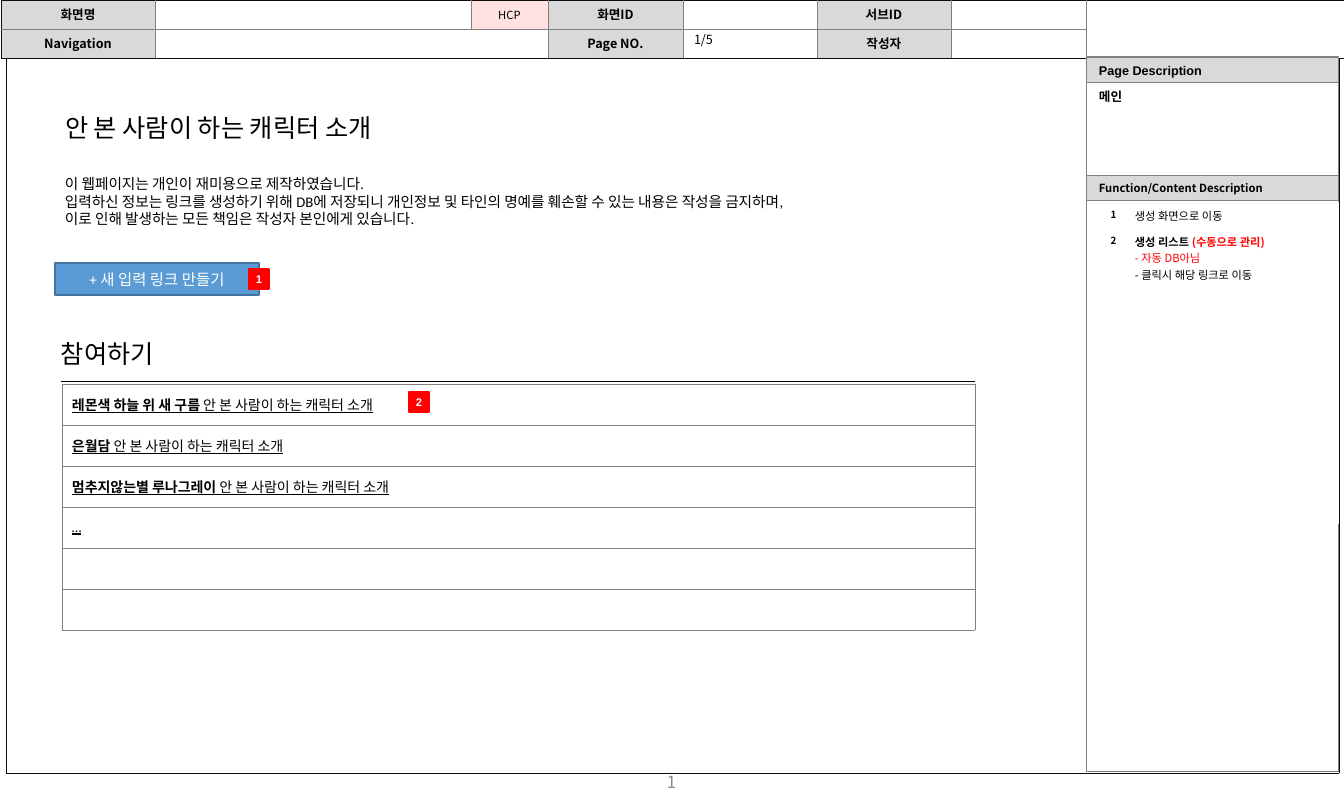
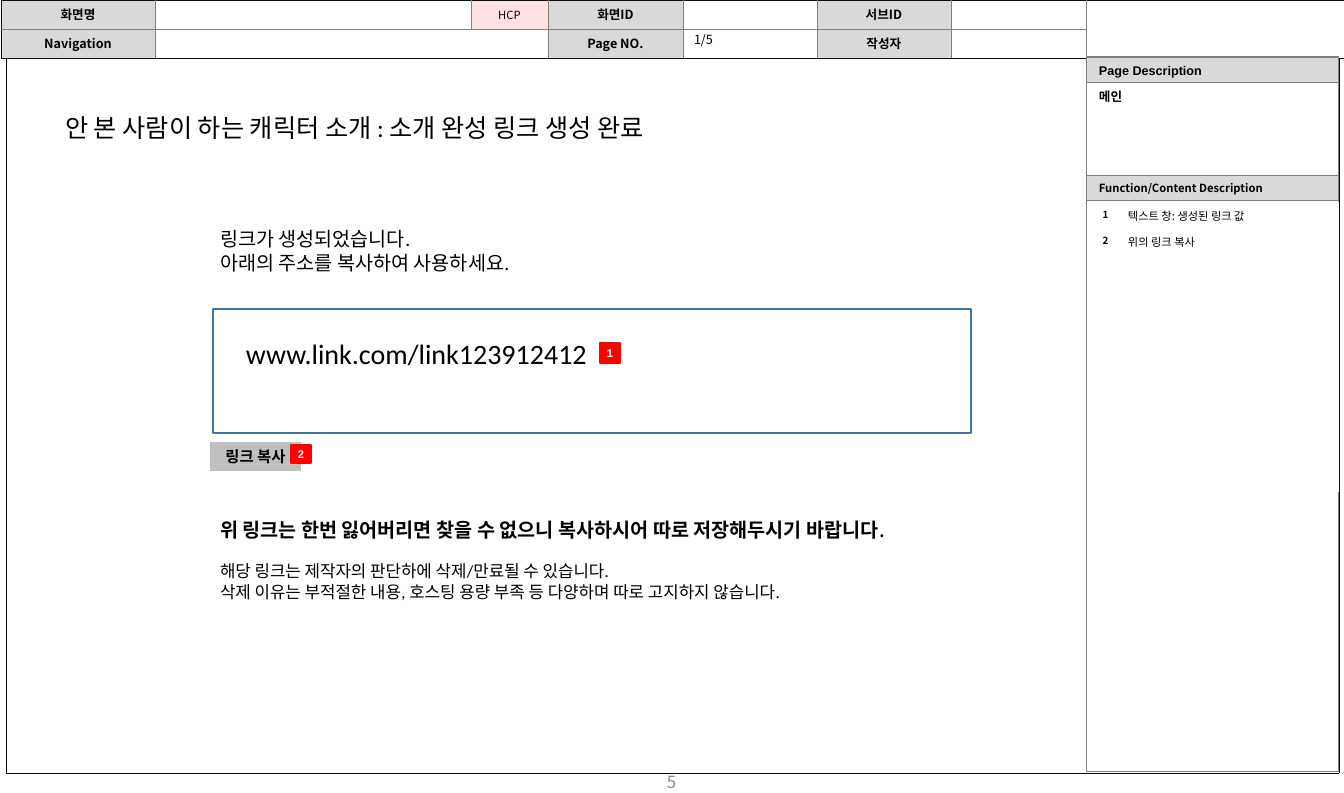
from dataclasses import dataclass, replace
from typing import Optional

from lxml import etree
from pptx import Presentation
from pptx.dml.color import RGBColor
from pptx.enum.shapes import MSO_CONNECTOR, MSO_SHAPE
from pptx.enum.text import MSO_ANCHOR, MSO_AUTO_SIZE, PP_ALIGN
from pptx.oxml.ns import qn
from pptx.util import Emu, Pt

RECTANGLE = MSO_SHAPE.RECTANGLE
STRAIGHT = MSO_CONNECTOR.STRAIGHT
TOP, MIDDLE = MSO_ANCHOR.TOP, MSO_ANCHOR.MIDDLE
LEFT, CENTER = PP_ALIGN.LEFT, PP_ALIGN.CENTER
NO_AUTOFIT = MSO_AUTO_SIZE.NONE

COLORS = {
    "black": "000000", "white": "FFFFFF", "ink": "0D0D0D", "gray": "808080",
    "number": "898989", "band": "D9D9D9", "pink": "FFE1E1", "red": "FF0000",
    "blue": "5B9BD5", "navy": "43739E", "silver": "BFBFBF",
}
BODY, KOREAN, LABEL = "Calibri", "Noto Sans CJK KR", "Arial"
EMU_PER_PIXEL = 914400 / 100.8
PAGE_WIDTH, PAGE_HEIGHT = 1344, 793
PANEL_LEFT, PANEL_TOP, PANEL_WIDTH, PANEL_HEIGHT = 1087, 57, 252, 715
PANEL_INSETS = (12, 6)
HAIRLINE = 0.25
HEADER_COLUMNS = (154, 316, 77, 135, 134, 134, 135, 258)
HEADER_ROW = 29
DESCRIPTION_ROWS, DESCRIPTION_HEIGHT = 11, 290
INTRODUCTION = "안 본 사람이 하는 캐릭터 소개"


@dataclass(frozen=True)
class Span:
    text: str
    size: float
    font: str = BODY
    color: str = "black"
    bold: bool = False
    underline: bool = False


Line = tuple[Span, ...]


@dataclass(frozen=True)
class Box:
    left: int
    top: int
    width: int
    height: int
    lines: tuple[Line, ...] = ()
    fill: Optional[str] = None
    border: Optional[str] = None
    border_width: float = 0.75
    anchor: MSO_ANCHOR = TOP
    align: PP_ALIGN = LEFT
    insets: tuple[int, int] = (10, 5)
    gap_before: tuple[int, ...] = ()


@dataclass(frozen=True)
class Edges:
    left: Optional[str] = None
    right: Optional[str] = None
    top: Optional[str] = None
    bottom: Optional[str] = None


def px(pixels: float) -> Emu:
    return Emu(round(pixels * EMU_PER_PIXEL))


def rgb(name: str) -> RGBColor:
    return RGBColor.from_string(COLORS[name])


def write_lines(frame, lines: tuple[Line, ...], align: PP_ALIGN) -> None:
    for index, line in enumerate(lines):
        para = frame.paragraphs[0] if index == 0 else frame.add_paragraph()
        para.alignment = align
        for span in line:
            run = para.add_run()
            run.text = span.text
            font = run.font
            font.size = Pt(span.size)
            font.bold = span.bold
            font.underline = span.underline
            font.color.rgb = rgb(span.color)
            font.name = span.font
            east_asian = etree.SubElement(run._r.get_or_add_rPr(), qn("a:ea"))
            east_asian.set("typeface", KOREAN)


def fill_frame(frame, box: Box) -> None:
    frame.auto_size = NO_AUTOFIT
    frame.word_wrap = True
    frame.vertical_anchor = box.anchor
    frame.margin_left = frame.margin_right = px(box.insets[0])
    frame.margin_top = frame.margin_bottom = px(box.insets[1])
    write_lines(frame, box.lines, box.align)
    for para, gap in zip(frame.paragraphs, box.gap_before):
        para.space_before = Pt(gap)


def add_box(page, box: Box) -> None:
    bounds = [px(side) for side in (box.left, box.top, box.width, box.height)]
    if box.fill is None and box.border is None:
        fill_frame(page.shapes.add_textbox(*bounds).text_frame, box)
        return
    shape = page.shapes.add_shape(RECTANGLE, *bounds)
    shape.shadow.inherit = False
    if box.fill:
        shape.fill.solid()
        shape.fill.fore_color.rgb = rgb(box.fill)
    else:
        shape.fill.background()
    if box.border:
        shape.line.color.rgb = rgb(box.border)
        shape.line.width = Pt(box.border_width)
    else:
        shape.line.fill.background()
    fill_frame(shape.text_frame, box)


def set_edges(cell, edges: Edges) -> None:
    properties = cell._tc.get_or_add_tcPr()
    sides = {"a:lnL": edges.left, "a:lnR": edges.right,
             "a:lnT": edges.top, "a:lnB": edges.bottom}
    for tag, color in sides.items():
        edge = etree.SubElement(properties, qn(tag))
        if color is None:
            etree.SubElement(edge, qn("a:noFill"))
            continue
        edge.set("w", str(Pt(HAIRLINE)))
        solid = etree.SubElement(edge, qn("a:solidFill"))
        etree.SubElement(solid, qn("a:srgbClr")).set("val", COLORS[color])


def add_table(page, left: int, top: int, columns: tuple[int, ...], rows: int, height: int):
    frame = page.shapes.add_table(rows, len(columns), px(left), px(top),
                                  px(sum(columns)), px(height))
    table = frame.table
    table.first_row = table.horz_banding = False
    for column, width in zip(table.columns, columns):
        column.width = px(width)
    for row in table.rows:
        row.height = px(height / rows)
    return table


def fill_cell(cell, edges: Edges, lines: tuple[Line, ...] = (), fill: str = "white",
              anchor: MSO_ANCHOR = MIDDLE, align: PP_ALIGN = LEFT, inset: int = 10) -> None:
    set_edges(cell, edges)
    cell.fill.solid()
    cell.fill.fore_color.rgb = rgb(fill)
    cell.vertical_anchor = anchor
    cell.margin_left = cell.margin_right = px(inset)
    cell.margin_top = cell.margin_bottom = px(5)
    if lines:
        write_lines(cell.text_frame, lines, align)
    else:
        ending = etree.SubElement(cell.text_frame.paragraphs[0]._p, qn("a:endParaRPr"))
        ending.set("sz", "800")


def add_header(page) -> None:
    labels = {
        (0, 0): "화면명", (0, 2): "HCP", (0, 3): "화면ID", (0, 5): "서브ID",
        (1, 0): "Navigation", (1, 3): "Page NO.", (1, 5): "작성자",
    }
    table = add_table(page, 1, 0, HEADER_COLUMNS, 2, 2 * HEADER_ROW)
    last = len(HEADER_COLUMNS) - 1
    table.cell(0, last).merge(table.cell(1, last))
    table.cell(1, 1).merge(table.cell(1, 2))
    for row in range(2):
        for column in range(last + 1):
            edges = Edges(left="gray" if column else "ink", right="gray",
                          top="gray" if row else "ink",
                          bottom="ink" if row or column == last else "gray")
            label = labels.get((row, column))
            if label is None:
                fill_cell(table.cell(row, column), edges, inset=0)
                continue
            tag = label == "HCP"
            span = Span(label, 8 if tag else 9, KOREAN, bold=not tag)
            fill_cell(table.cell(row, column), edges, ((span,),),
                      "pink" if tag else "band", align=CENTER, inset=0)


def add_frame(page, number: str) -> None:
    canvas = add_table(page, 6, PANEL_TOP + 1, (1333,), 1, PANEL_HEIGHT)
    fill_cell(canvas.cell(0, 0), Edges("ink", "ink", "ink", "ink"))
    panel = Box(PANEL_LEFT, PANEL_TOP, PANEL_WIDTH, PANEL_HEIGHT,
                border="gray", insets=PANEL_INSETS)
    add_box(page, panel)
    add_box(page, Box(515, 765, 313, 33, ((Span(number, 12, KOREAN, "number"),),),
                      anchor=MIDDLE, align=CENTER, insets=PANEL_INSETS))
    add_header(page)
    band = replace(panel, height=26, fill="band", anchor=MIDDLE,
                   lines=((Span("Page Description", 9, LABEL, bold=True),),))
    add_box(page, band)


def add_descriptions(page, left: int, number_width: int,
                     items: tuple[tuple[Line, ...], ...]) -> None:
    columns = (number_width, PANEL_LEFT + PANEL_WIDTH - left - number_width)
    table = add_table(page, left, 202, columns, DESCRIPTION_ROWS, DESCRIPTION_HEIGHT)
    for row in range(DESCRIPTION_ROWS):
        number: tuple[Line, ...] = ()
        item: tuple[Line, ...] = ()
        if row < len(items):
            number = ((Span(str(row + 1), 7, KOREAN, bold=True),),)
            item = items[row]
        fill_cell(table.cell(row, 0), Edges(), number, anchor=TOP, align=CENTER, inset=11)
        fill_cell(table.cell(row, 1), Edges(), item, anchor=TOP, inset=4)
    add_box(page, Box(684, 28, 134, 22, ((Span("1/5", 9, KOREAN),),), anchor=MIDDLE))
    summary = Box(PANEL_LEFT, 83, PANEL_WIDTH, 100, ((Span("메인", 9, KOREAN, bold=True),),),
                  "white", "gray", insets=PANEL_INSETS)
    add_box(page, summary)
    heading = Span("Function/Content Description", 8, KOREAN, bold=True)
    add_box(page, replace(summary, top=176, height=25, lines=((heading,),),
                          fill="band", anchor=MIDDLE))


def set_title(page, text: str, width: int) -> None:
    title = page.shapes.title
    title.left, title.top, title.width, title.height = px(55), px(107), px(width), px(40)
    fill_frame(title.text_frame, Box(55, 107, width, 40, ((Span(text, 18),),)))


def add_badge(page, number: str, left: int, top: int, height: int = 20) -> None:
    add_box(page, Box(left, top, 20, height, ((Span(number, 8, LABEL, "white", True),),),
                      "red", "red", 2, MIDDLE, CENTER, (0, 0)))


def add_link_list(page) -> None:
    divider = page.shapes.add_connector(STRAIGHT, px(61), px(381), px(975), px(381))
    divider.line.color.rgb = rgb("black")
    divider.line.width = Pt(0.5)
    etree.SubElement(divider._element.spPr, qn("a:effectLst"))
    names = ("레몬색 하늘 위 새 구름", "은월담", "멈추지않는별 루나그레이")
    entries: list[tuple[Line, ...]] = [
        ((Span(name, 10, bold=True, underline=True),
          Span(f" {INTRODUCTION}", 10, underline=True)),) for name in names
    ]
    entries += [((Span("…", 10, underline=True),),), (), ()]
    table = add_table(page, 62, 384, (913,), len(entries), 41 * len(entries))
    for row, entry in enumerate(entries):
        fill_cell(table.cell(row, 0), Edges("gray", "gray", "gray", "gray"), entry)


def build_main(page) -> None:
    add_frame(page, "1")
    add_descriptions(page, 1096, 35, (
        ((Span("생성 화면으로 이동", 8, KOREAN),),),
        ((Span("생성 리스트 ", 8, KOREAN, bold=True),
          Span("(수동으로 관리)", 8, KOREAN, "red", True)),
         (Span("- 자동 DB아님", 8, KOREAN, "red"),),
         (Span("- 클릭시 해당 링크로 이동", 8, KOREAN),)),
    ))
    add_box(page, Box(55, 263, 204, 32, ((Span("+ 새 입력 링크 만들기", 11, color="white"),),),
                      "blue", "navy", 1, MIDDLE, CENTER))
    add_box(page, Box(51, 333, 122, 40, ((Span("참여하기", 18),),)))
    add_link_list(page)
    set_title(page, INTRODUCTION, 355)
    add_badge(page, "1", 249, 269)
    add_badge(page, "2", 409, 392)
    notice = (
        "이 웹페이지는 개인이 재미용으로 제작하였습니다.",
        "입력하신 정보는 링크를 생성하기 위해 DB에 저장되니 개인정보 및 타인의 명예를 "
        "훼손할 수 있는 내용은 작성을 금지하며,",
        "이로 인해 발생하는 모든 책임은 작성자 본인에게 있습니다.",
    )
    add_box(page, Box(55, 170, 811, 64, tuple((Span(text, 10.5),) for text in notice)))


def build_link_done(page) -> None:
    add_frame(page, "5")
    add_descriptions(page, PANEL_LEFT, 37, (
        ((Span("텍스트 창: 생성된 링크 값", 8, KOREAN),),),
        ((Span("위의 링크 복사", 8, KOREAN),),),
    ))
    set_title(page, f"{INTRODUCTION} : 소개 완성 링크 생성 완료", 645)
    add_box(page, Box(210, 222, 336, 57, ((Span("링크가 생성되었습니다.", 14),),
                                          (Span("아래의 주소를 복사하여 사용하세요.", 14),))))
    warning = "위 링크는 한번 잃어버리면 찾을 수 없으니 복사하시어 따로 저장해두시기 바랍니다."
    add_box(page, Box(210, 513, 742, 95, (
        (Span(warning, 14, bold=True),),
        (Span("해당 링크는 제작자의 판단하에 삭제/만료될 수 있습니다.", 12),),
        (Span("삭제 이유는 부적절한 내용, 호스팅 용량 부족 등 다양하며 따로 고지하지 않습니다.", 12),),
    ), gap_before=(0, 14, 0)))
    add_box(page, Box(236, 331, 364, 44, ((Span("www.link.com/link123912412", 20),),)))
    add_box(page, Box(213, 309, 758, 124, border="navy", border_width=1))
    add_box(page, Box(210, 442, 91, 29, ((Span("링크 복사", 11, bold=True),),),
                      "silver", align=CENTER))
    add_badge(page, "1", 600, 343)
    add_badge(page, "2", 291, 445, 18)


deck = Presentation()
deck.slide_width, deck.slide_height = px(PAGE_WIDTH), px(PAGE_HEIGHT)
title_only = deck.slide_layouts[5]
for build in (build_main, build_link_done):
    new_page = deck.slides.add_slide(title_only)
    title_element = new_page.shapes.title._element
    build(new_page)
    new_page.shapes._spTree.append(title_element)
deck.save("out.pptx")
